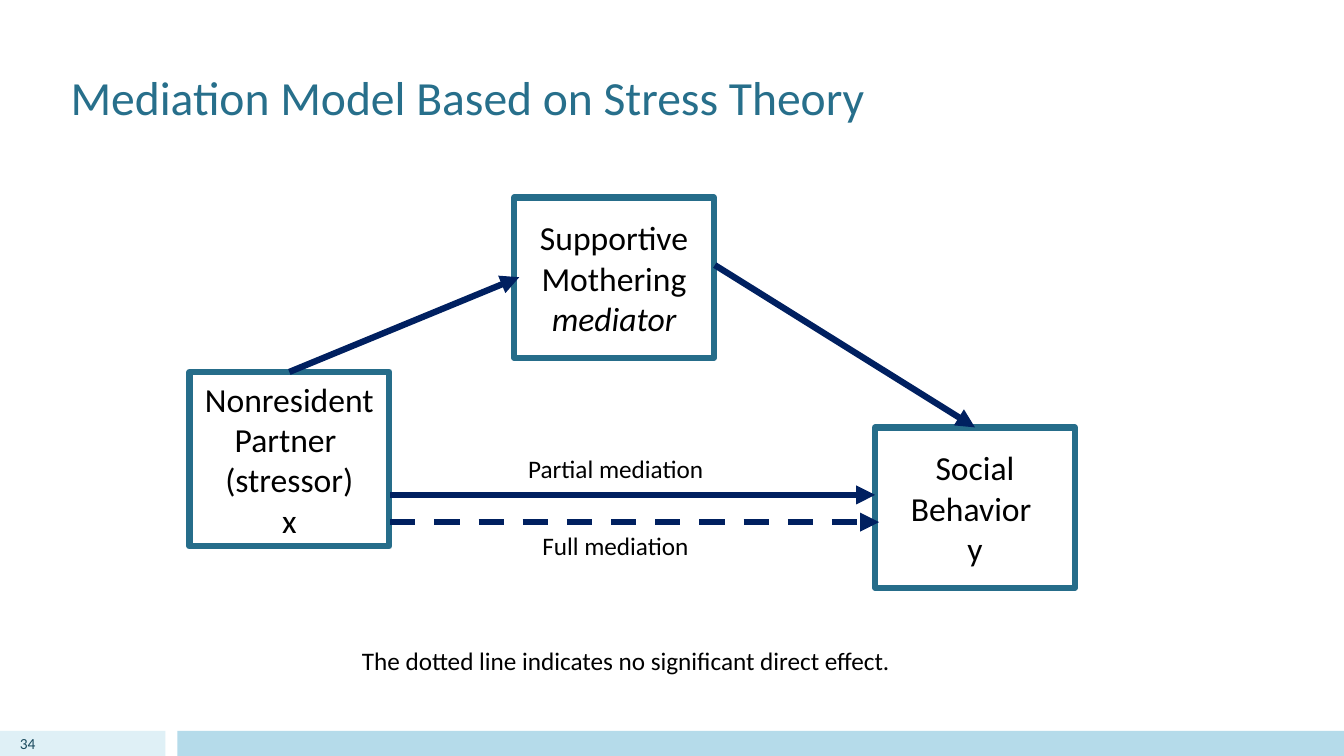
from lxml import etree
from pptx import Presentation
from pptx.dml.color import RGBColor
from pptx.enum.dml import MSO_LINE
from pptx.enum.shapes import MSO_CONNECTOR, MSO_SHAPE
from pptx.enum.text import MSO_ANCHOR, MSO_AUTO_SIZE, PP_ALIGN
from pptx.oxml.ns import qn
from pptx.util import Inches, Pt

RECTANGLE = MSO_SHAPE.RECTANGLE
STRAIGHT = MSO_CONNECTOR.STRAIGHT
DASH = MSO_LINE.DASH
TOP, MIDDLE, BOTTOM = MSO_ANCHOR.TOP, MSO_ANCHOR.MIDDLE, MSO_ANCHOR.BOTTOM
LEFT, CENTER, RIGHT = PP_ALIGN.LEFT, PP_ALIGN.CENTER, PP_ALIGN.RIGHT
NO_AUTOFIT = MSO_AUTO_SIZE.NONE
TITLE_ONLY = 5

FONT = "Calibri"
BLACK = "000000"
BOX_BORDER = "266D8A"
ARROW_COLOR = "002060"
LINE_WIDTH = Pt(4.5)
BOX_WIDTH = 1.98

FOOTER_BARS = [((0, 7.25, 1.64, 0.25), "DFF0F6"), ((1.76, 7.25, 11.57, 0.25), "B5DBEA")]
# left, top, height, paragraphs
MODEL_BOXES = [
    (5.1, 1.96, 1.59, ["Supportive Mothering", "mediator"]),
    (8.68, 4.24, 1.59, ["Social Behavior ", "y"]),
    (1.88, 3.69, 1.73, ["Nonresident Partner ", "(stressor)", "x"]),
]
ARROWS = [
    ((3.87, 4.91), (8.68, 4.91), None),
    ((7.09, 2.63), (9.67, 4.24), None),
    ((2.87, 3.69), (5.15, 2.75), None),
    ((3.87, 5.18), (8.72, 5.18), DASH),
]
LABELS = [
    ((5.14, 4.45, 2, 0.42), "Partial mediation"),
    ((5.28, 5.21, 1.69, 0.42), "Full mediation"),
    ((3.49, 6.35, 5.65, 0.4), "The dotted line indicates no significant direct effect."),
]


def color(hex_value):
    return RGBColor.from_string(hex_value)


def write_text(shape, lines, size, hex_color, align=LEFT, anchor=TOP):
    frame = shape.text_frame
    frame_format = {"word_wrap": True, "auto_size": NO_AUTOFIT, "vertical_anchor": anchor}
    for name, value in frame_format.items():
        setattr(frame, name, value)
    frame.text = "\n".join(lines)
    for paragraph in frame.paragraphs:
        paragraph.alignment = align
        for run in paragraph.runs:
            font_format = {"name": FONT, "size": Pt(size), "italic": run.text == "mediator"}
            for name, value in font_format.items():
                setattr(run.font, name, value)
            run.font.color.rgb = color(hex_color)


def add_title(slide, text):
    title = slide.shapes.title
    position = {"left": 0.6, "top": 0, "width": 10.25, "height": 1.29}
    for name, value in position.items():
        setattr(title, name, Inches(value))
    write_text(title, [text], 34, "276F8B", anchor=BOTTOM)


def add_rectangle(slide, position):
    shape = slide.shapes.add_shape(RECTANGLE, *map(Inches, position))
    shape.shadow.inherit = False
    return shape


def add_bar(slide, position, fill):
    bar = add_rectangle(slide, position)
    bar.fill.solid()
    bar.fill.fore_color.rgb = color(fill)
    bar.line.fill.background()


def add_model_box(slide, left, top, height, lines):
    box = add_rectangle(slide, (left, top, BOX_WIDTH, height))
    box.fill.background()
    box.line.color.rgb = color(BOX_BORDER)
    box.line.width = LINE_WIDTH
    write_text(box, lines, 24, BLACK, CENTER, MIDDLE)


def add_arrow(slide, start, end, dash):
    arrow = slide.shapes.add_connector(STRAIGHT, *map(Inches, start + end))
    arrow.line.color.rgb = color(ARROW_COLOR)
    arrow.line.width = LINE_WIDTH
    if dash:
        arrow.line.dash_style = dash
    properties = arrow._element.spPr
    etree.SubElement(properties.find(qn("a:ln")), qn("a:tailEnd"), type="triangle")
    etree.SubElement(properties, qn("a:effectLst"))


def add_label(slide, position, text, size=18, hex_color=BLACK, align=LEFT, anchor=TOP):
    label = slide.shapes.add_textbox(*map(Inches, position))
    write_text(label, [text], size, hex_color, align, anchor)


def main():
    presentation = Presentation()
    presentation.slide_width = Inches(13.33)
    presentation.slide_height = Inches(7.5)
    slide = presentation.slides.add_slide(presentation.slide_layouts[TITLE_ONLY])

    for position, fill in FOOTER_BARS:
        add_bar(slide, position, fill)
    add_title(slide, "Mediation Model Based on Stress Theory")
    add_label(slide, (0, 7.25, 0.45, 0.25), "34", 11, "1A4A5D", RIGHT, MIDDLE)
    for box in MODEL_BOXES:
        add_model_box(slide, *box)
    for arrow in ARROWS:
        add_arrow(slide, *arrow)
    for label in LABELS:
        add_label(slide, *label)
    presentation.save("out.pptx")


if __name__ == "__main__":
    main()
